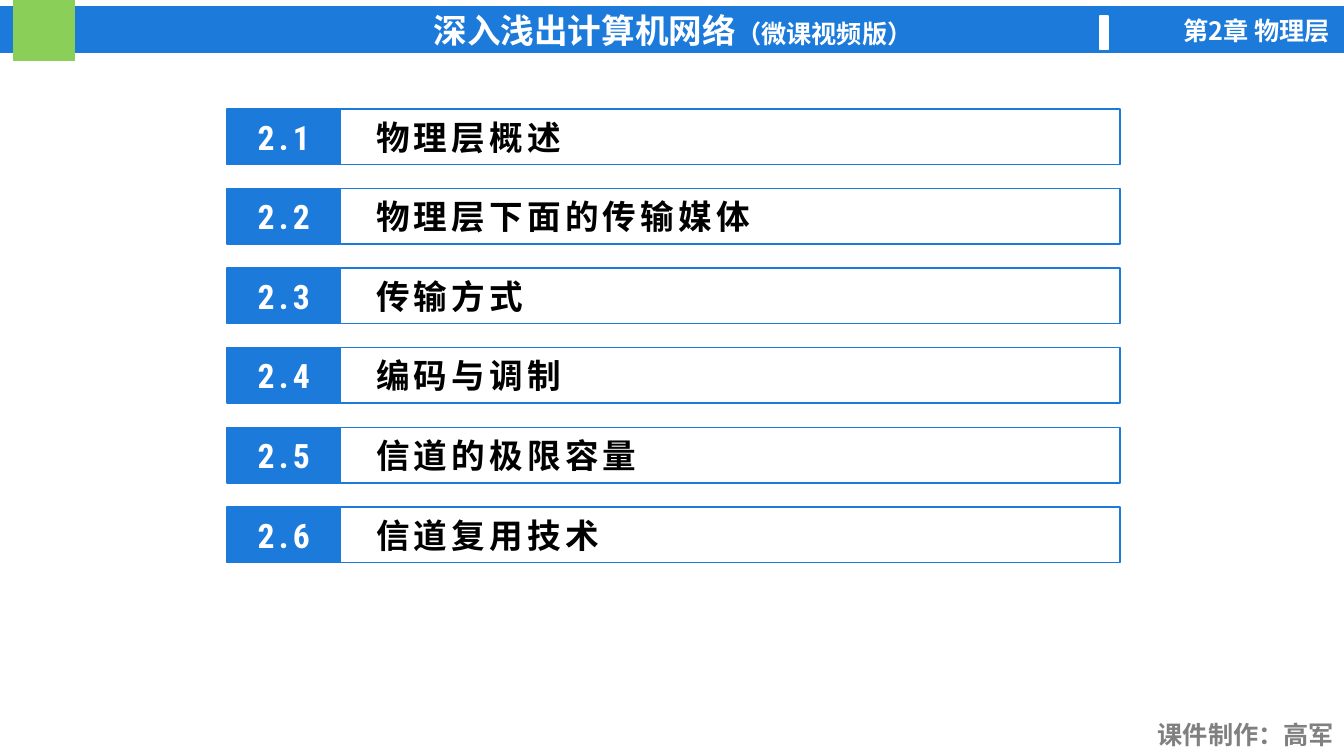
from dataclasses import dataclass

from lxml.etree import SubElement
from pptx import Presentation
from pptx.dml.color import RGBColor
from pptx.enum.shapes import MSO_SHAPE as Preset
from pptx.enum.text import MSO_ANCHOR as Anchor, PP_ALIGN as Align
from pptx.oxml.ns import qn
from pptx.util import Inches, Pt


@dataclass(frozen=True)
class Theme:
    """Colours, fonts and type sizes of the slide."""
    blue: RGBColor = RGBColor(0x1B, 0x7A, 0xDA)
    green: RGBColor = RGBColor(0x8A, 0xCF, 0x57)
    white: RGBColor = RGBColor(0xFF, 0xFF, 0xFF)
    black: RGBColor = RGBColor(0, 0, 0)
    gray: RGBColor = RGBColor(0x80, 0x80, 0x80)
    title_font: str = "Arial Narrow"
    topic_font: str = "Roboto Condensed"
    chinese_font: str = "Noto Sans CJK SC"
    large: Pt = Pt(24)
    small: Pt = Pt(18)
    letter_spacing: Pt = Pt(3)


THEME = Theme()
TOPICS = ["物理层概述", "物理层下面的传输媒体", "传输方式",
          "编码与调制", "信道的极限容量", "信道复用技术"]


def add_box(slide, left, top, width, height, fill, line):
    """Add a flat rectangle, unfilled when fill is None."""
    box = slide.shapes.add_shape(Preset.RECTANGLE, Inches(left), Inches(top),
                                 Inches(width), Inches(height))
    box.shadow.inherit = False
    if fill is None:
        box.fill.background()
    else:
        box.fill.solid()
        box.fill.fore_color.rgb = fill
    box.line.color.rgb = line
    box.line.width = Pt(1)
    return box


def write(shape, pieces, font, color, align, spacing=None):
    """Write one bold paragraph made of (text, size) pieces."""
    frame = shape.text_frame
    frame.word_wrap = True
    paragraph = frame.paragraphs[0]
    paragraph.alignment = align
    paragraph.font.name = font
    paragraph.font.bold = True
    paragraph.font.color.rgb = color
    defaults = paragraph._p.pPr.find(qn("a:defRPr"))
    SubElement(defaults, qn("a:ea")).set("typeface", THEME.chinese_font)
    if spacing:
        defaults.set("spc", str(int(spacing.pt * 100)))
    if len(pieces) == 1:
        paragraph.font.size = pieces[0][1]
    for text, size in pieces:
        run = paragraph.add_run()
        run.text = text
        if len(pieces) > 1:
            run.font.size = size


def add_label(slide, left, top, width, text, font, color):
    """Add a right-aligned single-line label."""
    label = slide.shapes.add_textbox(Inches(left), Inches(top), Inches(width), Inches(0.4))
    write(label, [(text, THEME.small)], font, color, Align.RIGHT)


def add_header(slide, left, top, width, height):
    """Draw the title bar with its green block, divider and chapter name."""
    bar = add_box(slide, left, top, width, height, THEME.blue, THEME.blue)
    bar.text_frame.vertical_anchor = Anchor.MIDDLE
    write(bar, [("深入浅出计算机网络", THEME.large), ("（微课视频版）", THEME.small)],
          THEME.title_font, THEME.white, Align.CENTER)
    add_box(slide, left + 0.14, top - 0.07, 0.6, 0.6, THEME.green, THEME.green)
    add_box(slide, left + 10.91, top + 0.09, 0.08, 0.33, THEME.white, THEME.white)
    add_label(slide, left + 11.11, top + 0.03, 2.18, "第2章 物理层",
              THEME.chinese_font, THEME.white)


def add_topic(slide, left, top, width, height, number, topic):
    """Draw one contents row: a number block and a framed topic."""
    number_width = 1.13
    number_box = add_box(slide, left, top, number_width, height, THEME.blue, THEME.blue)
    topic_box = add_box(slide, left + number_width, top, width - number_width, height,
                        None, THEME.blue)
    topic_box.text_frame.margin_left = Inches(0.35)
    for box, text, color, align in [(number_box, number, THEME.white, Align.CENTER),
                                    (topic_box, topic, THEME.black, Align.LEFT)]:
        box.text_frame.vertical_anchor = Anchor.MIDDLE
        write(box, [(text, THEME.large)], THEME.topic_font, color, align,
              THEME.letter_spacing)


def add_contents(slide, left, top, width, row_height, pitch):
    """Stack the topic rows at an equal pitch."""
    for index, topic in enumerate(TOPICS):
        add_topic(slide, left, top + index * pitch, width, row_height,
                  f"2.{index + 1}", topic)


def main():
    """Build and save the contents slide."""
    presentation = Presentation()
    presentation.slide_width = Inches(13.33)
    presentation.slide_height = Inches(7.5)
    slide = presentation.slides.add_slide(presentation.slide_layouts[6])
    add_header(slide, 0, 0.07, 13.35, 0.45)
    add_label(slide, 11.34, 7.09, 1.99, "课件制作：高军", THEME.title_font, THEME.gray)
    add_contents(slide, 2.25, 1.08, 8.86, 0.55, 0.79)
    presentation.save("out.pptx")


if __name__ == "__main__":
    main()
